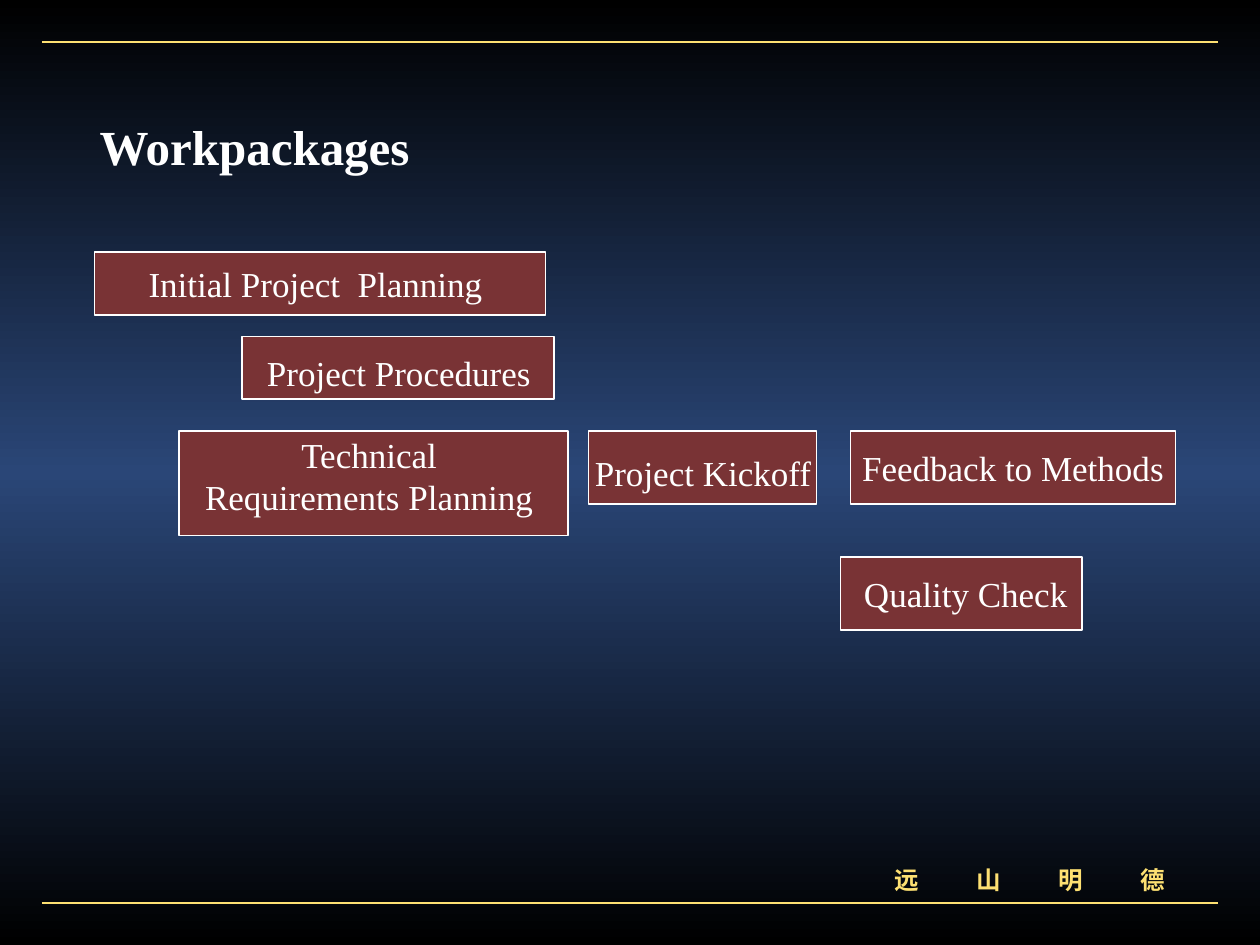
"""Build the Workpackages slide."""
from copy import deepcopy

from pptx import Presentation
from pptx.dml.color import RGBColor
from pptx.enum.shapes import MSO_CONNECTOR, MSO_SHAPE
from pptx.enum.text import MSO_ANCHOR, PP_ALIGN
from pptx.oxml.ns import qn
from pptx.util import Inches, Pt
from lxml.etree import SubElement

COLORS = {"night": "000000", "blue": "2A4677", "gold": "FDE072",
          "brick": "793335", "white": "FFFFFF"}
SERIF = "Times New Roman"
CJK = "Noto Sans CJK SC"


def write_text(box, text, *, size=20, bold=False, color="white", font=SERIF,
               align=PP_ALIGN.CENTER, anchor=MSO_ANCHOR.MIDDLE, wrap=False,
               line_spacing=None, gap=0, inset=0.1, tabs=()):
    frame = box.text_frame
    frame.text = text
    frame.word_wrap = wrap
    frame.vertical_anchor = anchor
    frame.margin_left = frame.margin_right = Inches(inset)
    for index, para in enumerate(frame.paragraphs):
        para.alignment = align
        para.line_spacing = line_spacing
        para.space_before = Pt(gap if index else 0)
        if tabs:
            tab_list = SubElement(para._p.get_or_add_pPr(), qn("a:tabLst"))
            for stop in tabs:
                SubElement(tab_list, qn("a:tab"), pos=str(Inches(stop)), algn="l")
        for span in para.runs:
            span.font.size = Pt(size)
            span.font.bold = bold
            span.font.name = font
            span.font.color.rgb = RGBColor.from_string(COLORS[color])
            SubElement(span.font._element, qn("a:ea"), typeface=font)


deck = Presentation()
deck.slide_width, deck.slide_height = Inches(10), Inches(7.5)
page = deck.slides.add_slide(deck.slide_layouts[5])

backdrop = page.background.fill
backdrop.gradient()
backdrop.gradient_angle = 270
stop_list = page.element.find(".//" + qn("a:gsLst"))
stop_list.append(deepcopy(stop_list[0]))
for stop, position, color in zip(backdrop.gradient_stops, (0, 0.5, 1),
                                 ("night", "blue", "night")):
    stop.position = position
    stop.color.rgb = RGBColor.from_string(COLORS[color])

margin = 1 / 3
for y in (margin, 7.5 - margin):
    rule = page.shapes.add_connector(MSO_CONNECTOR.STRAIGHT, Inches(margin), Inches(y),
                                     Inches(10 - margin), Inches(y))
    rule.line.color.rgb = RGBColor.from_string(COLORS["gold"])
    rule.line.width = Pt(1)
    SubElement(rule._element.spPr, qn("a:effectLst"))

footer = page.shapes.add_textbox(Inches(7), Inches(6.82), Inches(2.67), Inches(0.33))
write_text(footer, "远\t山\t明\t德", size=14, bold=True, color="gold", font=CJK,
           align=PP_ALIGN.LEFT, anchor=MSO_ANCHOR.TOP, wrap=True,
           tabs=[0.65 * step for step in (1, 2, 3)])

title = page.shapes.title
title.left, title.top = Inches(0.68), Inches(0.87)
title.width, title.height = Inches(2.68), Inches(0.57)
write_text(title, "Workpackages", size=28, bold=True)

packages = [
    ("Feedback to Methods", (6.75, 3.42, 2.58, 0.58), None, {}),
    ("Initial Project  Planning", (0.75, 2, 3.58, 0.5), (0.87, 2.03, 3.27, 0.44), {}),
    ("Project Procedures", (1.92, 2.67, 2.48, 0.5), (2.02, 2.74, 2.29, 0.44), {}),
    ("Technical\nRequirements Planning", (1.42, 3.42, 3.09, 0.83),
     (1.53, 3.53, 2.8, 0.61), {"line_spacing": 0.5, "gap": 12.5}),
    ("Project Kickoff", (4.67, 3.42, 1.81, 0.58), (4.62, 3.53, 1.92, 0.44), {}),
    ("Quality Check", (6.67, 4.42, 1.92, 0.58), (6.76, 4.49, 1.81, 0.44), {}),
]
for text, bar_area, label_area, style in packages:
    parent = page.shapes.add_group_shape().shapes if label_area else page.shapes
    bar = parent.add_shape(MSO_SHAPE.RECTANGLE, *map(Inches, bar_area))
    bar.shadow.inherit = False
    bar.fill.solid()
    bar.fill.fore_color.rgb = RGBColor.from_string(COLORS["brick"])
    bar.line.color.rgb = RGBColor.from_string(COLORS["white"])
    bar.line.width = Pt(1)
    label = parent.add_textbox(*map(Inches, label_area)) if label_area else bar
    write_text(label, text, inset=0, **style)

deck.save("out.pptx")
